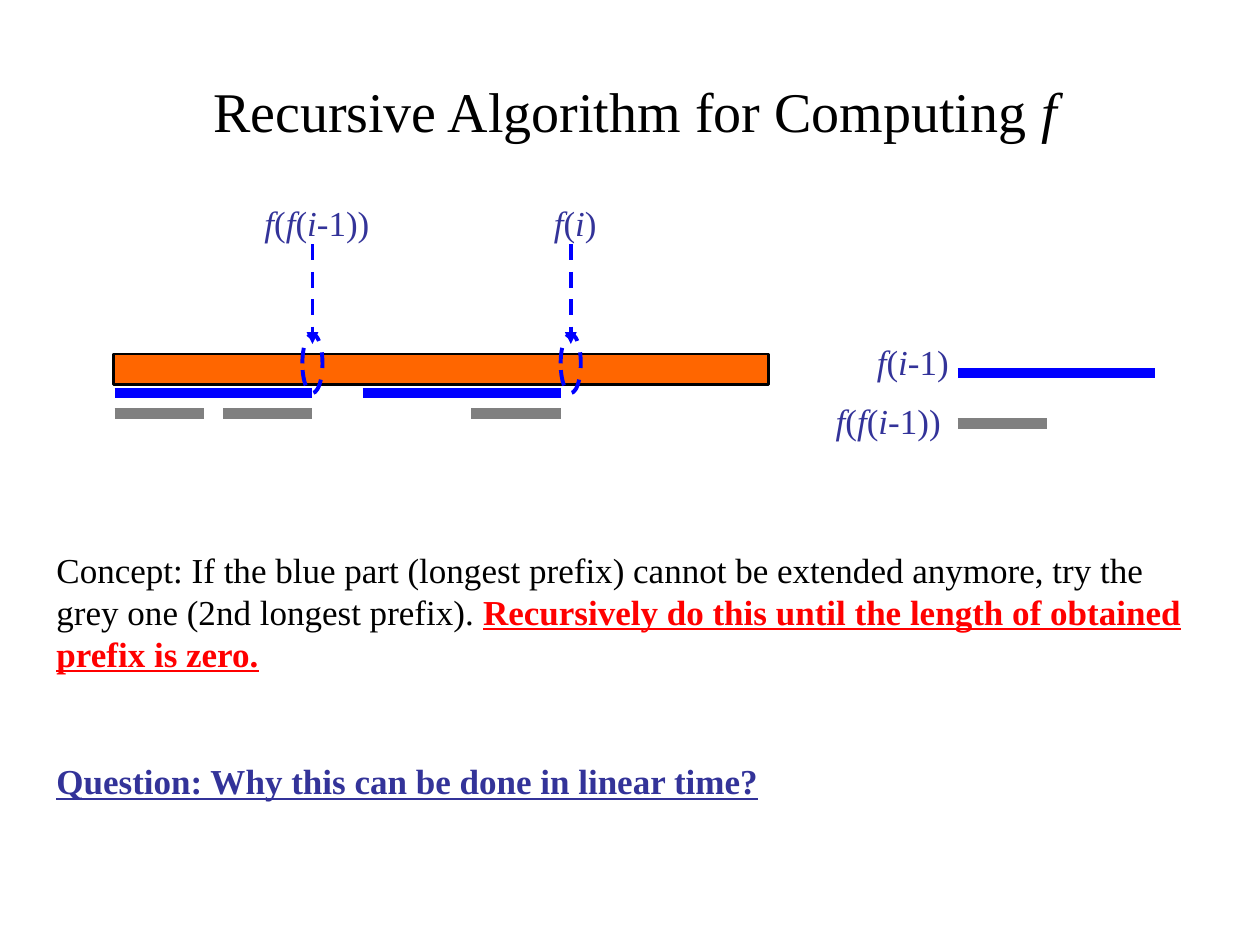
import dataclasses

import pptx
import pptx.dml.color
import pptx.enum.dml
import pptx.enum.shapes
import pptx.enum.text
import pptx.oxml
import pptx.oxml.ns
import pptx.util

Inches = pptx.util.Inches
Pt = pptx.util.Pt
ALIGN = pptx.enum.text.PP_ALIGN
ANCHOR = pptx.enum.text.MSO_ANCHOR
SHAPE = pptx.enum.shapes.MSO_SHAPE
DASH = pptx.enum.dml.MSO_LINE.DASH


@dataclasses.dataclass(frozen=True)
class Theme:
    font: str = "Times New Roman"
    title_size: float = 32
    text_size: float = 20
    bar_weight: float = 6
    marker_weight: float = 2.25
    border_weight: float = 1.5
    black: str = "000000"
    blue: str = "0000FF"
    grey: str = "808080"
    orange: str = "FF6600"
    indigo: str = "333399"
    red: str = "FF0000"


THEME = Theme()


def rgb(value):
    return pptx.dml.color.RGBColor.from_string(value)


def add_span(para, text, size=THEME.text_size, color=THEME.black,
             italic=False, bold=False, underline=False):
    span = para.add_run()
    span.text = text
    font = span.font
    font.name, font.size = THEME.font, Pt(size)
    font.color.rgb = rgb(color)
    font.italic, font.bold, font.underline = italic, bold, underline


def add_text(page, left, top, width, height, paragraphs, align=ALIGN.LEFT,
             anchor=ANCHOR.TOP, space_before=0, **style):
    """Each paragraph is a list of (text, format overrides) pairs."""
    box = page.shapes.add_textbox(Inches(left), Inches(top), Inches(width), Inches(height))
    frame = box.text_frame
    frame.word_wrap = True
    frame.vertical_anchor = anchor
    for index, spans in enumerate(paragraphs):
        para = frame.add_paragraph() if index else frame.paragraphs[0]
        para.alignment = align
        if index:
            para.space_before = Pt(space_before)
        for text, changes in spans:
            add_span(para, text, **{**style, **changes})


def add_formula(page, left, top, width, formula):
    """Centre a formula, with its letters in italics."""
    spans = [(char, {"italic": char.isalpha()}) for char in formula]
    add_text(page, left, top, width, 0.44, [spans], align=ALIGN.CENTER, color=THEME.indigo)


def add_line(page, start, end, color, weight):
    line = page.shapes.add_connector(
        pptx.enum.shapes.MSO_CONNECTOR.STRAIGHT, *map(Inches, start + end))
    line.line.color.rgb = rgb(color)
    line.line.width = Pt(weight)
    line._element.spPr.append(pptx.oxml.parse_xml(
        f'<a:effectLst {pptx.oxml.ns.nsdecls("a")}/>'))
    return line


def add_bar(page, left, y, length, color):
    add_line(page, (left, y), (left + length, y), color, THEME.bar_weight)


def add_shape(page, kind, left, top, width, height, color, weight, fill=None):
    shape = page.shapes.add_shape(
        kind, Inches(left), Inches(top), Inches(width), Inches(height))
    shape.shadow.inherit = False
    if fill:
        shape.fill.solid()
        shape.fill.fore_color.rgb = rgb(fill)
    else:
        shape.fill.background()
    shape.line.color.rgb = rgb(color)
    shape.line.width = Pt(weight)
    return shape


def add_marker(page, x, formula):
    """Label a position on the string with an arrow and a dashed ring."""
    ring = add_shape(page, SHAPE.OVAL, x - 0.08, 2.65, 0.16, 0.47,
                     THEME.blue, THEME.marker_weight)
    ring.line.dash_style = DASH
    arrow = add_line(page, (x, 1.94), (x, 2.73), THEME.blue, THEME.marker_weight)
    arrow.line.dash_style = DASH
    arrow.line._ln.append(pptx.oxml.parse_xml(
        f'<a:tailEnd {pptx.oxml.ns.nsdecls("a")} type="triangle"/>'))
    add_formula(page, x - 0.79, 1.55, 1.65, formula)


def main():
    deck = pptx.Presentation()
    deck.slide_width, deck.slide_height = Inches(10), Inches(7.5)
    page = deck.slides.add_slide(deck.slide_layouts[6])

    add_text(page, 0.58, 0.25, 8.92, 1.25,
             [[("Recursive Algorithm for Computing ", {}), ("f", {"italic": True})]],
             align=ALIGN.CENTER, anchor=ANCHOR.MIDDLE, size=THEME.title_size)

    add_shape(page, SHAPE.RECTANGLE, 0.9, 2.81, 5.2, 0.24,
              THEME.black, THEME.border_weight, fill=THEME.orange)
    add_marker(page, 4.53, "f(i)")
    add_marker(page, 2.48, "f(f(i-1))")

    prefix, shorter_prefix = 1.57, 0.71
    for left in (0.91, 2.88):
        add_bar(page, left, 3.12, prefix, THEME.blue)
    for left in (0.91, 1.77, 3.74):
        add_bar(page, left, 3.28, shorter_prefix, THEME.grey)

    add_bar(page, 7.6, 2.96, prefix, THEME.blue)
    add_formula(page, 6.81, 2.65, 0.87, "f(i-1)")
    add_bar(page, 7.6, 3.36, shorter_prefix, THEME.grey)
    add_formula(page, 6.42, 3.12, 1.26, "f(f(i-1))")

    strong = {"bold": True, "underline": True}
    add_text(page, 0.35, 4.3, 9.37, 2.12, [
        [("Concept: If the blue part (longest prefix) cannot be extended anymore, "
          "try the grey one (2nd longest prefix). ", {}),
         ("Recursively do this until the length of obtained prefix is zero.",
          {"color": THEME.red, **strong})],
        [("Question: Why this can be done in linear time?",
          {"color": THEME.indigo, **strong})],
    ], space_before=49)

    deck.save("out.pptx")


if __name__ == "__main__":
    main()
